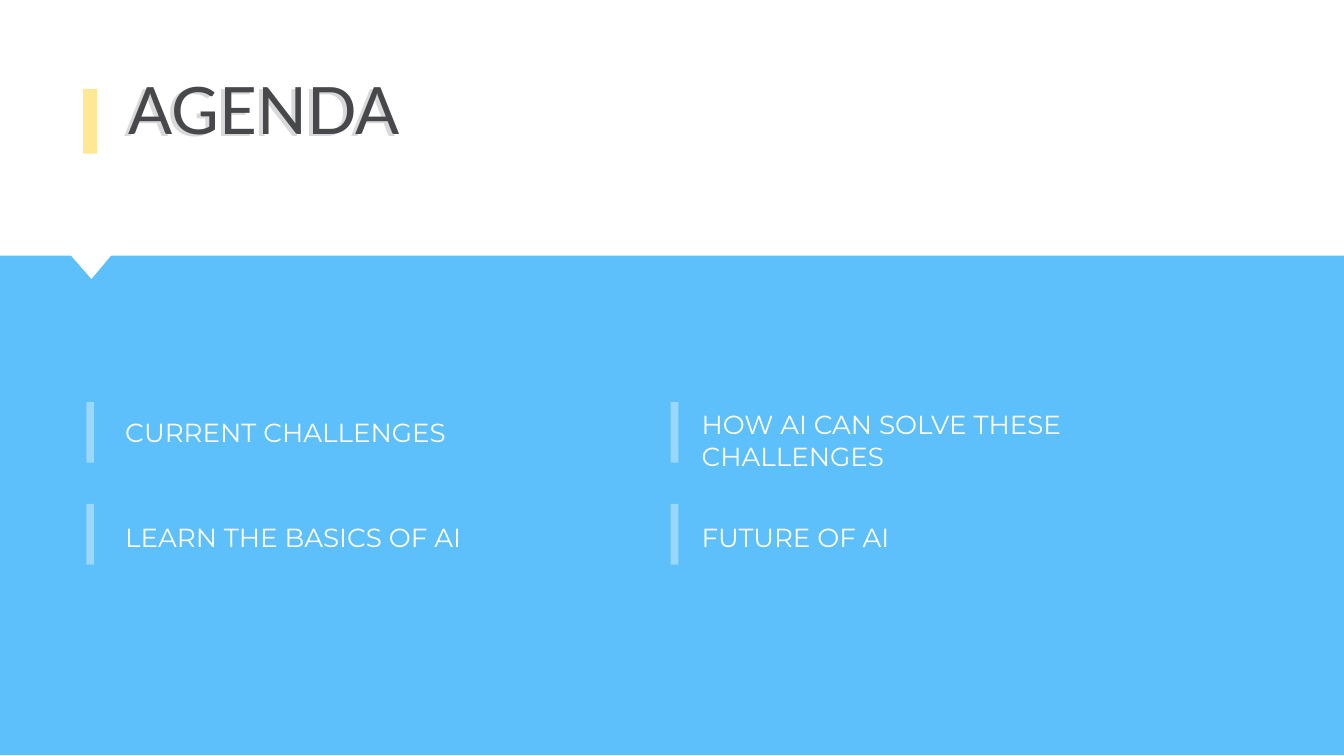
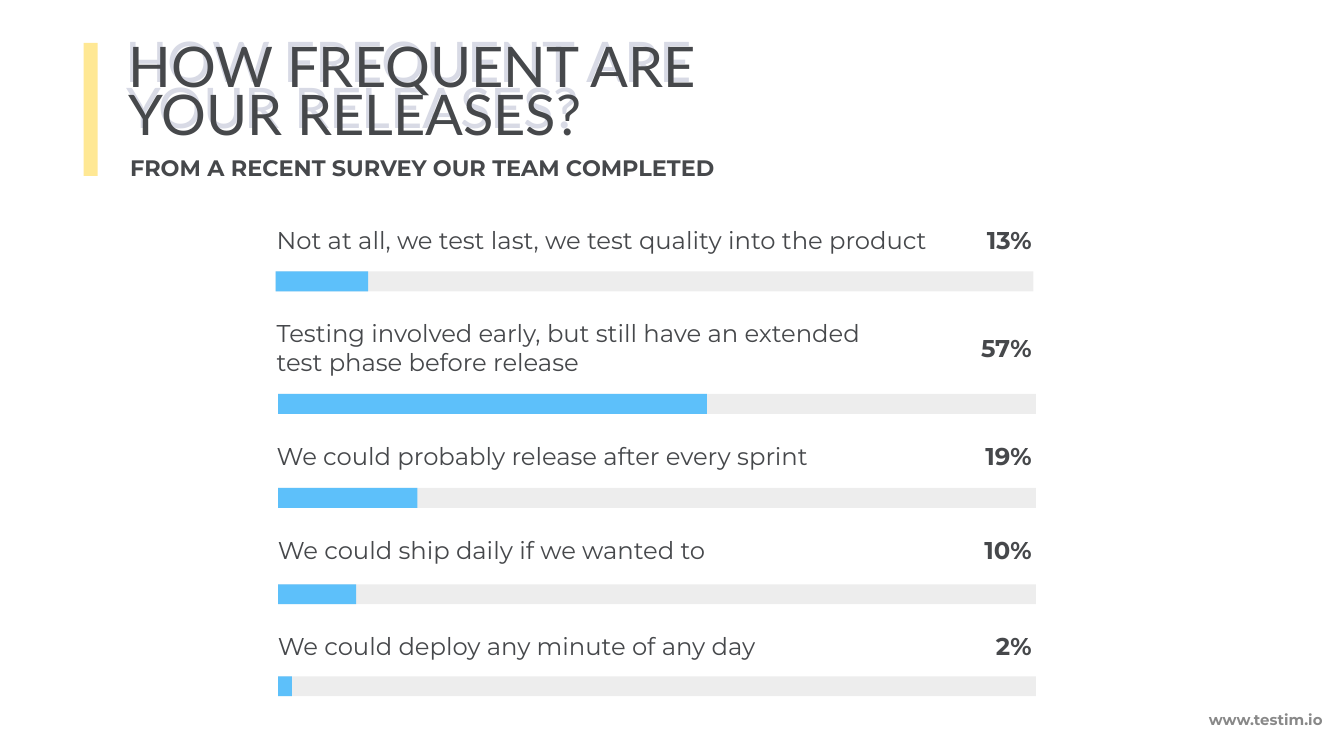
from dataclasses import dataclass
from typing import NamedTuple

from lxml.etree import SubElement
from pptx import Presentation
from pptx.dml.color import RGBColor
from pptx.enum.shapes import MSO_SHAPE as Preset
from pptx.enum.text import MSO_ANCHOR as Anchor, PP_ALIGN as Align
from pptx.oxml.ns import qn
from pptx.shapes.autoshape import Shape
from pptx.slide import Slide
from pptx.util import Pt


@dataclass(frozen=True)
class Theme:
    ink: str = "46484B"
    white: str = "FFFFFF"
    black: str = "000000"
    blue: str = "5DC0FA"
    yellow: str = "FFE894"
    grey_shadow: str = "D9D9D9"
    lilac_shadow: str = "D8DAE5"
    footer: str = "888888"
    title_font: str = "Lato"
    body_font: str = "Montserrat"
    agenda_title_size: float = 35
    survey_title_size: float = 30
    agenda_size: float = 14
    survey_size: float = 13
    subtitle_size: float = 12
    footer_size: float = 8


THEME = Theme()


class Box(NamedTuple):
    left: float
    top: float
    width: float
    height: float


class TitleLine(NamedTuple):
    text: str
    shadow: Box
    face: Box


class AgendaItem(NamedTuple):
    text: str
    column: int
    row: int
    text_top: float
    width: float


class Answer(NamedTuple):
    text: str
    percent: int
    text_box: Box
    bar_left: float
    bar_top: float
    filled: float


AGENDA_TITLE = [TitleLine("AGENDA", Box(59.8, 39.5, 168, 34.5), Box(62, 38, 168, 34.5))]
AGENDA_ITEMS = [
    AgendaItem("CURRENT CHALLENGES", 0, 0, 219.5, 231),
    AgendaItem("LEARN THE BASICS OF AI", 0, 1, 276, 272),
    AgendaItem("HOW AI CAN SOLVE THESE CHALLENGES", 1, 0, 215.5, 245.5),
    AgendaItem("FUTURE OF AI", 1, 1, 276, 215),
]
AGENDA_MARK_LEFTS = (46.3, 359.3)
AGENDA_TEXT_LEFTS = (60, 368.8)
AGENDA_ROW_TOPS = (215.4, 270)

SURVEY_TITLE = [
    TitleLine("HOW FREQUENT ARE", Box(60, 15, 545, 34.5), Box(62, 13.5, 373.5, 34.5)),
    TitleLine("YOUR RELEASES?", Box(60.5, 39.5, 427.5, 34.5), Box(62, 39, 296, 34.5)),
]
ANSWERS = [
    Answer("Not at all, we test last, we test quality into the product", 13,
           Box(141.2, 111, 402, 34.5), 147.6, 145.4, 49.7),
    Answer("Testing involved early, but still have an extended test phase before release", 57,
           Box(141.2, 169, 343.5, 34.5), 149, 211, 229.7),
    Answer("We could probably release after every sprint", 19,
           Box(141.2, 227, 402, 34.5), 149, 261.4, 74.7),
    Answer("We could ship daily if we wanted to", 10,
           Box(141.8, 277.4, 402, 34.5), 149, 313, 41.8),
    Answer("We could deploy any minute of any day", 2,
           Box(141.8, 329, 402, 34.5), 149, 362.3, 7.4),
]
PERCENT_LEFT = 157.7
BAR_WIDTH, BAR_HEIGHT = 406, 10.7


def add_text(slide: Slide, text: str, box: Box, *, size: float, color: str = THEME.ink,
             font: str = THEME.body_font, bold: bool = False, align: Align = Align.LEFT,
             anchor: Anchor = Anchor.TOP, inset: float = 3.6,
             line_spacing: float = 1.0) -> Shape:
    shape = slide.shapes.add_textbox(*map(Pt, box))
    frame = shape.text_frame
    frame.word_wrap = True
    frame.vertical_anchor = anchor
    frame.margin_left = frame.margin_right = Pt(7.2)
    frame.margin_top = frame.margin_bottom = Pt(inset)
    paragraph = frame.paragraphs[0]
    paragraph.alignment = align
    paragraph.line_spacing = line_spacing
    run = paragraph.add_run()
    run.text = text
    run.font.name = font
    run.font.size = Pt(size)
    run.font.bold = bold
    run.font.color.rgb = RGBColor.from_string(color)
    return shape


def add_block(slide: Slide, box: Box, color: str, *, opacity: int = 100,
              preset: Preset = Preset.RECTANGLE) -> Shape:
    shape = slide.shapes.add_shape(preset, *map(Pt, box))
    shape.shadow.inherit = False
    shape.line.fill.background()
    shape.fill.solid()
    shape.fill.fore_color.rgb = RGBColor.from_string(color)
    if opacity < 100:
        color_element = shape.fill._xPr.find(qn("a:solidFill"))[0]
        SubElement(color_element, qn("a:alpha"), val=str(opacity * 1000))
    return shape


def add_title(slide: Slide, lines: list[TitleLine], accent: Box, *, size: float,
              shadow_color: str, face_spacing: float) -> None:
    for line in lines:
        add_text(slide, line.text, line.shadow, size=size, font=THEME.title_font,
                 color=shadow_color, line_spacing=0.9)
    for line in lines:
        add_text(slide, line.text, line.face, size=size, font=THEME.title_font,
                 line_spacing=face_spacing)
    add_block(slide, accent, THEME.yellow)


def add_agenda_item(slide: Slide, item: AgendaItem) -> None:
    mark = Box(AGENDA_MARK_LEFTS[item.column], AGENDA_ROW_TOPS[item.row], 4.1, 32.5)
    add_block(slide, mark, THEME.white, opacity=38)
    text_box = Box(AGENDA_TEXT_LEFTS[item.column], item.text_top, item.width, 39 - 13.5 * item.row)
    add_text(slide, item.text, text_box, size=THEME.agenda_size, color=THEME.white)


def add_answer(slide: Slide, answer: Answer) -> None:
    add_text(slide, answer.text, answer.text_box, size=THEME.survey_size,
             anchor=Anchor.MIDDLE, inset=7.2)
    percent_box = answer.text_box._replace(left=PERCENT_LEFT, width=402)
    add_text(slide, f"{answer.percent}%", percent_box, size=THEME.survey_size, bold=True,
             align=Align.RIGHT, anchor=Anchor.MIDDLE, inset=7.2)
    track = Box(answer.bar_left, answer.bar_top, BAR_WIDTH, BAR_HEIGHT)
    add_block(slide, track, THEME.black, opacity=7)
    add_block(slide, track._replace(width=answer.filled), THEME.blue)


def build_agenda(slide: Slide) -> None:
    add_title(slide, AGENDA_TITLE, Box(44.6, 47.7, 7.5, 34.7), size=THEME.agenda_title_size,
              shadow_color=THEME.grey_shadow, face_spacing=0.9)
    add_block(slide, Box(0, 137, 720, 267.6), THEME.blue)
    pointer = add_block(slide, Box(37.6, 136.4, 22.3, 13), THEME.white,
                        preset=Preset.ISOSCELES_TRIANGLE)
    pointer.adjustments[0] = 0.49
    pointer.rotation = 180
    for item in AGENDA_ITEMS:
        add_agenda_item(slide, item)


def build_survey(slide: Slide) -> None:
    for answer in ANSWERS:
        add_answer(slide, answer)
    add_title(slide, SURVEY_TITLE, Box(44.8, 23, 7.5, 71.3), size=THEME.survey_title_size,
              shadow_color=THEME.lilac_shadow, face_spacing=1.0)
    add_text(slide, "FROM A RECENT SURVEY OUR TEAM COMPLETED", Box(62.6, 77, 381.6, 23),
             size=THEME.subtitle_size, bold=True, line_spacing=1.15)
    add_text(slide, "www.testim.io", Box(640.5, 369.5, 79.5, 32.4), size=THEME.footer_size,
             color=THEME.footer, bold=True, anchor=Anchor.MIDDLE, inset=7.2)


def main() -> None:
    presentation = Presentation()
    presentation.slide_width, presentation.slide_height = Pt(720), Pt(405)
    for build in (build_agenda, build_survey):
        build(presentation.slides.add_slide(presentation.slide_layouts[6]))
    presentation.save("out.pptx")


if __name__ == "__main__":
    main()
